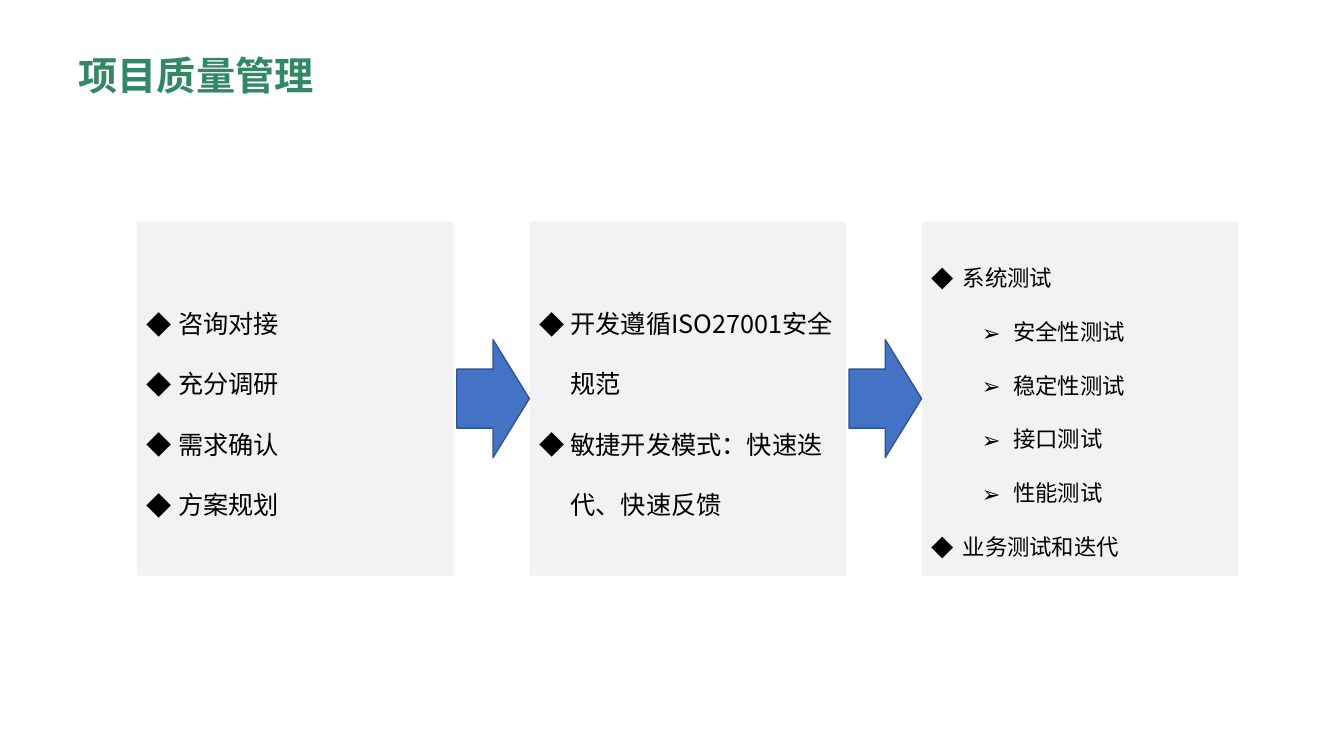
"""Build the project quality management slide: three stages joined by arrows."""
from lxml import etree
from pptx import Presentation
from pptx import util as u
from pptx.dml import color
from pptx.enum import shapes, text
from pptx.oxml import ns

STAGES = [
    (18, [(0, "咨询对接"), (0, "充分调研"), (0, "需求确认"), (0, "方案规划")]),
    (18, [(0, "开发遵循ISO27001安全规范"), (0, "敏捷开发模式：快速迭代、快速反馈")]),
    (16, [(0, "系统测试"), (1, "安全性测试"), (1, "稳定性测试"), (1, "接口测试"),
          (1, "性能测试"), (0, "业务测试和迭代")]),
]
BULLETS = "◆➢"
LEFT, TOP, WIDTH, HEIGHT, PITCH = 1.36, 2.2, 3.14, 3.51, 3.89
ARROW_WIDTH, ARROW_HEIGHT = 0.72, 1.17


def rgb(value):
    return color.RGBColor.from_string(value)


def apply(target, values):
    for name, value in values.items():
        setattr(target, name, value)


class SlideBuilder:
    font = "Noto Sans CJK SC"

    def __init__(self, deck):
        self.page = deck.slides.add_slide(deck.slide_layouts[6])

    def span(self, para, wording, size, ink, bold=False):
        span = para.add_run()
        span.text = wording
        apply(span.font, {"name": self.font, "size": u.Pt(size), "bold": bold})
        span.font.color.rgb = rgb(ink)
        east_asian = etree.SubElement(span.font._element, ns.qn("a:ea"))
        east_asian.set("typeface", self.font)

    def title(self, wording, *place):
        box = self.page.shapes.add_textbox(*map(u.Inches, place))
        apply(box.text_frame, {
            "word_wrap": True, "auto_size": text.MSO_AUTO_SIZE.SHAPE_TO_FIT_TEXT,
            "margin_left": 0, "margin_top": 0, "margin_right": 0, "margin_bottom": 0})
        para = box.text_frame.paragraphs[0]
        para._p.get_or_add_pPr().set("marL", str(u.Inches(0.01)))
        self.span(para, wording, 28, "328765", True)

    def shape(self, kind, fill, place, line=None):
        box = self.page.shapes.add_shape(kind, *map(u.Inches, place))
        box.shadow.inherit = False
        box.fill.solid()
        box.fill.fore_color.rgb = rgb(fill)
        if line:
            box.line.color.rgb = rgb(line)
            box.line.width = u.Pt(1)
        else:
            box.line.fill.background()
        return box

    def bullet(self, para, level):
        apply(para, {"level": level, "line_spacing": 2.0,
                     "alignment": text.PP_ALIGN.LEFT})
        props = para._p.get_or_add_pPr()
        props.set("marL", str(u.Inches(0.31 + level * 0.5)))
        props.set("indent", str(u.Inches(-0.31)))
        etree.SubElement(props, ns.qn("a:buFont")).set("typeface", self.font)
        etree.SubElement(props, ns.qn("a:buChar")).set("char", BULLETS[level])

    def panel(self, items, size, *place):
        box = self.shape(shapes.MSO_SHAPE.RECTANGLE, "F2F2F2", place)
        frame = box.text_frame
        apply(frame, {"word_wrap": True,
                      "vertical_anchor": text.MSO_ANCHOR.MIDDLE})
        for index, (level, wording) in enumerate(items):
            para = frame.add_paragraph() if index else frame.paragraphs[0]
            self.bullet(para, level)
            self.span(para, wording, size, "000000")

    def arrow(self, *place):
        self.shape(shapes.MSO_SHAPE.RIGHT_ARROW, "4472C4", place, "325491")


def main():
    deck = Presentation()
    apply(deck, {"slide_width": u.Inches(13.33), "slide_height": u.Inches(7.5)})
    builder = SlideBuilder(deck)
    builder.title("项目质量管理", 0.77, 0.51, 4.27, 0.47)
    for index, (size, items) in enumerate(STAGES):
        builder.panel(items, size, LEFT + index * PITCH, TOP, WIDTH, HEIGHT)
    arrow_top = TOP + (HEIGHT - ARROW_HEIGHT) / 2
    for index in range(1, len(STAGES)):
        builder.arrow(LEFT + index * PITCH - ARROW_WIDTH, arrow_top,
                      ARROW_WIDTH, ARROW_HEIGHT)
    deck.save("out.pptx")


if __name__ == "__main__":
    main()
